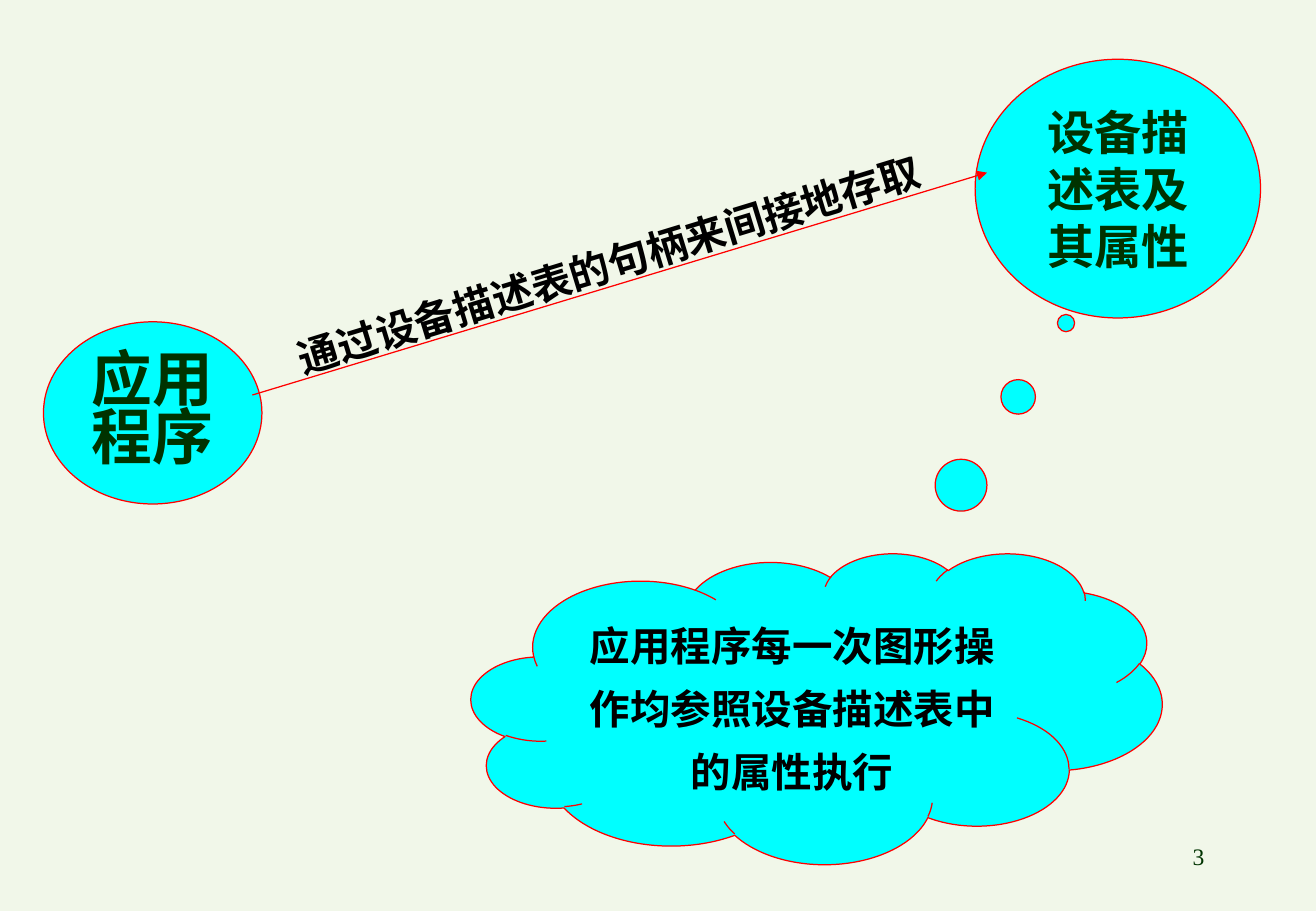
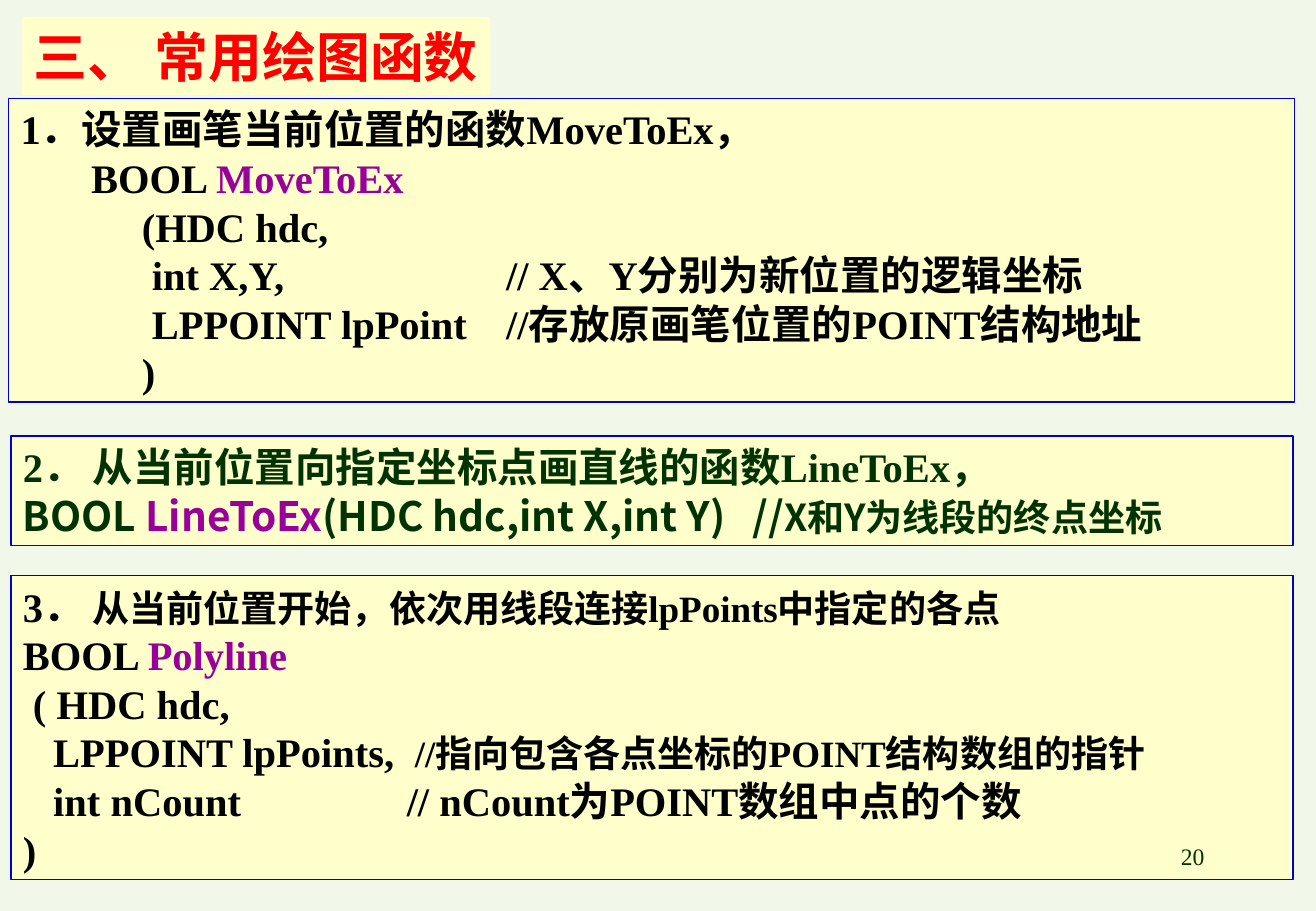
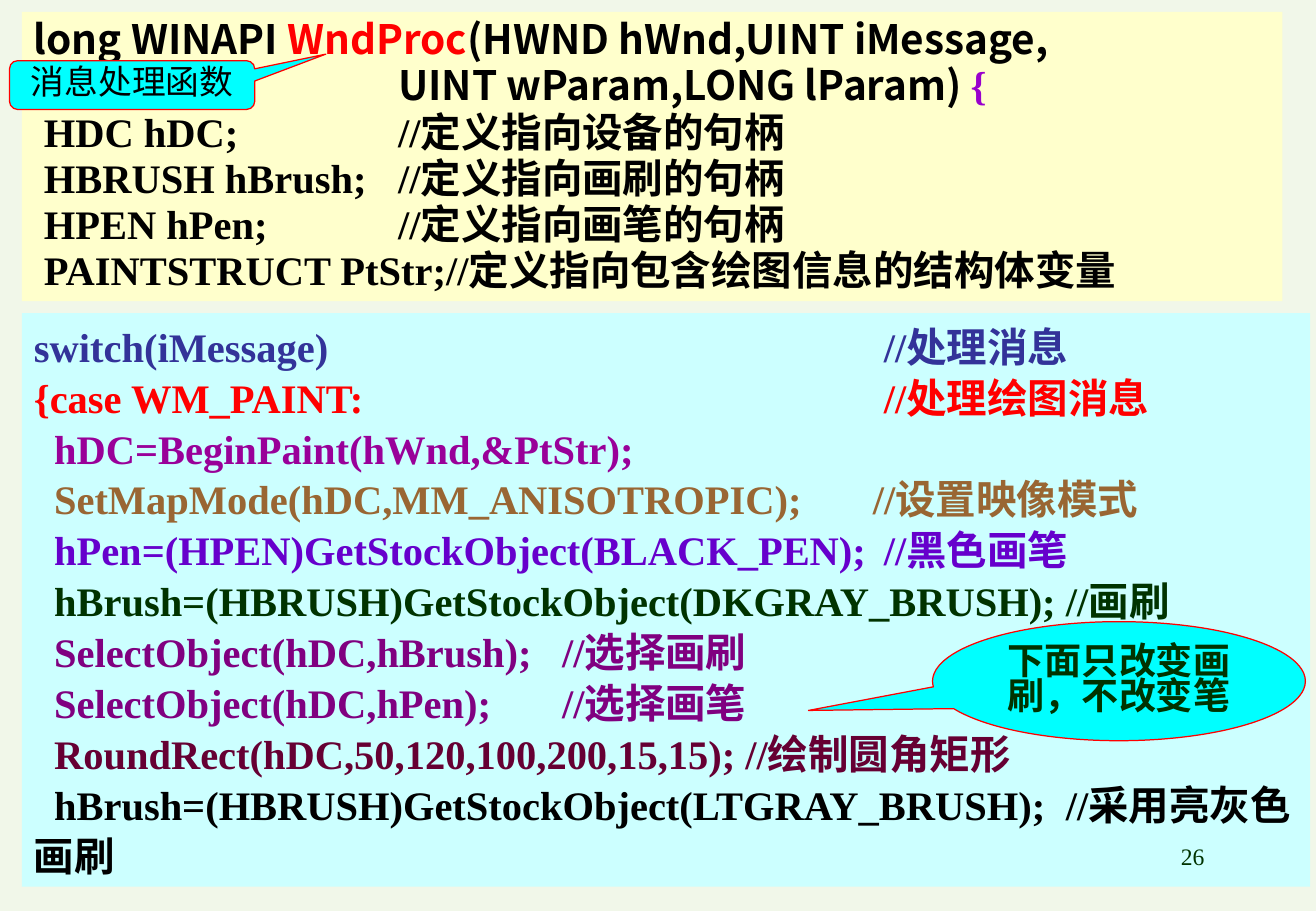
from dataclasses import dataclass

from lxml.etree import SubElement as Sub
from pptx import Presentation as Deck
from pptx.dml.color import RGBColor as Rgb
from pptx.enum.shapes import MSO_CONNECTOR as Link, MSO_SHAPE as Form
from pptx.enum.text import MSO_ANCHOR as Anchor, MSO_AUTO_SIZE as Fit, PP_ALIGN as Align
from pptx.oxml.ns import qn
from pptx.util import Cm, Pt


# Colours, fonts and type sizes
class Theme:
    page, cream, ice, cyan = "F1F7E9", "FFFFCC", "CCFFFF", "00FFFF"
    black, green, red, blue = "000000", "003300", "FF0000", "0000CC"
    pink, violet, navy, brown = "990099", "9900CC", "333399", "996633"
    indigo, plum, wine = "6600CC", "800080", "660033"
    serif, arial, sans = "Times New Roman", "Arial", "Noto Sans CJK SC"
    huge, head, big, body, note, tag, foot = 36, 32, 28, 24, 22, 20, 14
    edge = 0.75


T = Theme


@dataclass
class Bit:
    """A run of text in one style."""
    text: str
    ink: str = T.black
    size: int = T.body
    face: str = T.serif
    bold: bool = True


@dataclass
class Row:
    """A paragraph: its runs and, if needed, one tab stop in cm."""
    bits: list
    tab: float = 0


def row(text, ink=T.black, tab=0, **style):
    return Row([Bit(text, ink, **style)], tab)


# Text
def put_bit(para, bit):
    run = para.add_run()
    run.text = bit.text
    font = run.font
    font.size, font.bold, font.name = Pt(bit.size), bit.bold, bit.face
    font.color.rgb = Rgb.from_string(bit.ink)
    Sub(run._r.get_or_add_rPr(), qn("a:ea"), typeface=T.sans)


def put_text(shape, rows, align=Align.LEFT, space=1.0, wrap=True, fit=True):
    frame = shape.text_frame
    frame.word_wrap = wrap
    frame.auto_size = Fit.SHAPE_TO_FIT_TEXT if fit else Fit.NONE
    for i, item in enumerate(rows):
        para = frame.add_paragraph() if i else frame.paragraphs[0]
        if item.tab:
            tabs = Sub(para._p.get_or_add_pPr(), qn("a:tabLst"))
            Sub(tabs, qn("a:tab"), pos=str(int(Cm(item.tab))), algn="l")
        para.alignment, para.line_spacing = align, space
        for bit in item.bits:
            put_bit(para, bit)


# Shapes
def add_form(slide, form, box, fill, edge=None, turns=()):
    shape = slide.shapes.add_shape(form, *map(Cm, box))
    shape.shadow.inherit = False
    shape.fill.solid()
    shape.fill.fore_color.rgb = Rgb.from_string(fill)
    if edge:
        shape.line.color.rgb = Rgb.from_string(edge)
        shape.line.width = Pt(T.edge)
    else:
        shape.line.fill.background()
    for i, turn in enumerate(turns):
        shape.adjustments[i] = turn
    return shape


def panel(slide, box, rows, fill=T.cream, edge=None, **style):
    shape = add_form(slide, Form.RECTANGLE, box, fill, edge)
    shape.text_frame.vertical_anchor = Anchor.TOP
    put_text(shape, rows, **style)


def bubble(slide, form, box, text, turns=(), space=0.8, wrap=True, **style):
    shape = add_form(slide, form, box, T.cyan, T.red, turns)
    shape.text_frame.vertical_anchor = Anchor.MIDDLE
    put_text(shape, [row(text, **style)], Align.CENTER, space, wrap)


def arrow(slide, start, end):
    link = slide.shapes.add_connector(Link.STRAIGHT, *map(Cm, start + end))
    link.line.color.rgb = Rgb.from_string(T.red)
    link.line.width = Pt(T.edge)
    props = link._element.spPr
    Sub(props.find(qn("a:ln")), qn("a:tailEnd"), type="triangle")
    Sub(props, qn("a:effectLst"))


def label(slide, box, item, turn=0, **style):
    shape = slide.shapes.add_textbox(*map(Cm, box))
    shape.rotation = turn
    put_text(shape, [item], **style)


def number(slide, text):
    item = row(text, T.green, size=T.foot, bold=False)
    label(slide, (19.71, 17.48, 5.74, 1.27), item, align=Align.RIGHT, fit=False)


# Slides
def access(slide):
    bubble(slide, Form.OVAL, (0.91, 6.73, 4.57, 3.81), "应用程序",
           ink=T.green, size=T.huge)
    bubble(slide, Form.OVAL, (20.4, 1.24, 5.97, 5.41), "设备描述表及其属性",
           space=1.0, ink=T.green, size=T.big)
    arrow(slide, (5.28, 8.26), (20.65, 3.61))
    label(slide, (5.74, 5.08, 14.05, 1.07), row("通过设备描述表的句柄来间接地存取"),
          turn=343, space=0.8, wrap=False)
    bubble(slide, Form.CLOUD_CALLOUT, (9.86, 11.56, 14.45, 6.5),
           "应用程序每一次图形操作均参照设备描述表中的属性执行",
           turns=(0.361, -1.239), space=1.3)


def draw(slide):
    panel(slide, (0.46, 0.36, 9.8, 1.63),
          [row("三、 常用绘图函数", T.red, size=T.head, face=T.arial)], wrap=False)
    # Move the pen
    panel(slide, (0.18, 2.06, 26.9, 6.35), [
        row("1．设置画笔当前位置的函数MoveToEx，"),
        Row([Bit("       BOOL "), Bit("MoveToEx", T.pink)]),
        row("            (HDC hdc,"),
        row("             int X,Y,\t// X、Y分别为新位置的逻辑坐标", tab=10.16),
        row("             LPPOINT lpPoint\t//存放原画笔位置的POINT结构地址", tab=10.16),
        row("            )"),
    ], edge=T.blue)
    # Draw one line
    panel(slide, (0.23, 9.12, 26.82, 2.29), [
        row("2． 从当前位置向指定坐标点画直线的函数LineToEx，", T.green),
        Row([Bit("BOOL ", T.green, face=T.sans),
             Bit("LineToEx", T.pink, face=T.sans),
             Bit("(HDC hdc,int X,int Y)\t//", T.green, face=T.sans),
             Bit("X和Y为线段的终点坐标", T.green, T.note, T.sans)], 15.27),
    ], edge=T.blue)
    # Draw many lines
    panel(slide, (0.23, 12.04, 26.82, 6.35), [
        Row([Bit("3． "), Bit("从当前位置开始，依次用线段连接lpPoints中指定的各点", size=T.note)]),
        Row([Bit("BOOL "), Bit("Polyline", T.pink)]),
        row(" ( HDC hdc,"),
        Row([Bit("   LPPOINT lpPoints,\t"),
             Bit("//指向包含各点坐标的POINT结构数组的指针", size=T.note)], 8.2),
        row("   int nCount\t// nCount为POINT数组中点的个数", tab=8.03),
        row(")"),
    ], edge=T.blue)


def proc(slide):
    # Function head
    notes = [
        (" HDC hDC;", "//定义指向设备的句柄"),
        (" HBRUSH hBrush;", "//定义指向画刷的句柄"),
        (" HPEN hPen;", "//定义指向画笔的句柄"),
    ]
    panel(slide, (0.46, 0.25, 26.37, 6.05), [
        Row([Bit("long WINAPI ", face=T.sans), Bit("WndProc", T.red, face=T.sans),
             Bit("(HWND hWnd,UINT iMessage,", face=T.sans)]),
        Row([Bit("\tUINT wParam,LONG lParam) ", face=T.sans), Bit("{", T.violet)], 7.62),
        *(row(f"{code}\t{note}", tab=7.62) for code, note in notes),
        row(" PAINTSTRUCT PtStr;//定义指向包含绘图信息的结构体变量"),
    ], space=0.95)
    bubble(slide, Form.ROUNDED_RECTANGULAR_CALLOUT, (0.2, 1.27, 5.13, 1.02),
           "消息处理函数", turns=(0.79, -0.635, 0.167), wrap=False,
           size=T.tag, bold=False)
    # Function body
    panel(slide, (0.46, 6.55, 26.95, 11.99), [
        row("switch(iMessage)\t//处理消息", T.navy, 17.78),
        row("{case WM_PAINT:\t//处理绘图消息", T.red, 17.78),
        row("  hDC=BeginPaint(hWnd,&PtStr);", T.pink),
        row("  SetMapMode(hDC,MM_ANISOTROPIC);\t//设置映像模式", T.brown, 17.55),
        row("  hPen=(HPEN)GetStockObject(BLACK_PEN);\t//黑色画笔", T.indigo, 17.78),
        row("  hBrush=(HBRUSH)GetStockObject(DKGRAY_BRUSH); //画刷", T.green),
        row("  SelectObject(hDC,hBrush);\t//选择画刷", T.plum, 11.05),
        row("  SelectObject(hDC,hPen);\t//选择画笔", T.plum, 11.05),
        row("  RoundRect(hDC,50,120,100,200,15,15); //绘制圆角矩形", T.wine),
        row("  hBrush=(HBRUSH)GetStockObject(LTGRAY_BRUSH);\t//采用亮灰色画刷", tab=21.59),
    ], fill=T.ice, space=1.05)
    bubble(slide, Form.OVAL_CALLOUT, (19.51, 13, 7.8, 2.49),
           "下面只改变画刷，不改变笔", turns=(-0.833, 0.246),
           ink=T.green, size=T.note)


def main():
    deck = Deck()
    deck.slide_width, deck.slide_height = Cm(27.53), Cm(19.05)
    back = deck.slide_master.background.fill
    back.solid()
    back.fore_color.rgb = Rgb.from_string(T.page)
    for build, page in ((access, "3"), (draw, "20"), (proc, "26")):
        slide = deck.slides.add_slide(deck.slide_layouts[6])
        build(slide)
        number(slide, page)
    deck.save("out.pptx")


if __name__ == "__main__":
    main()
